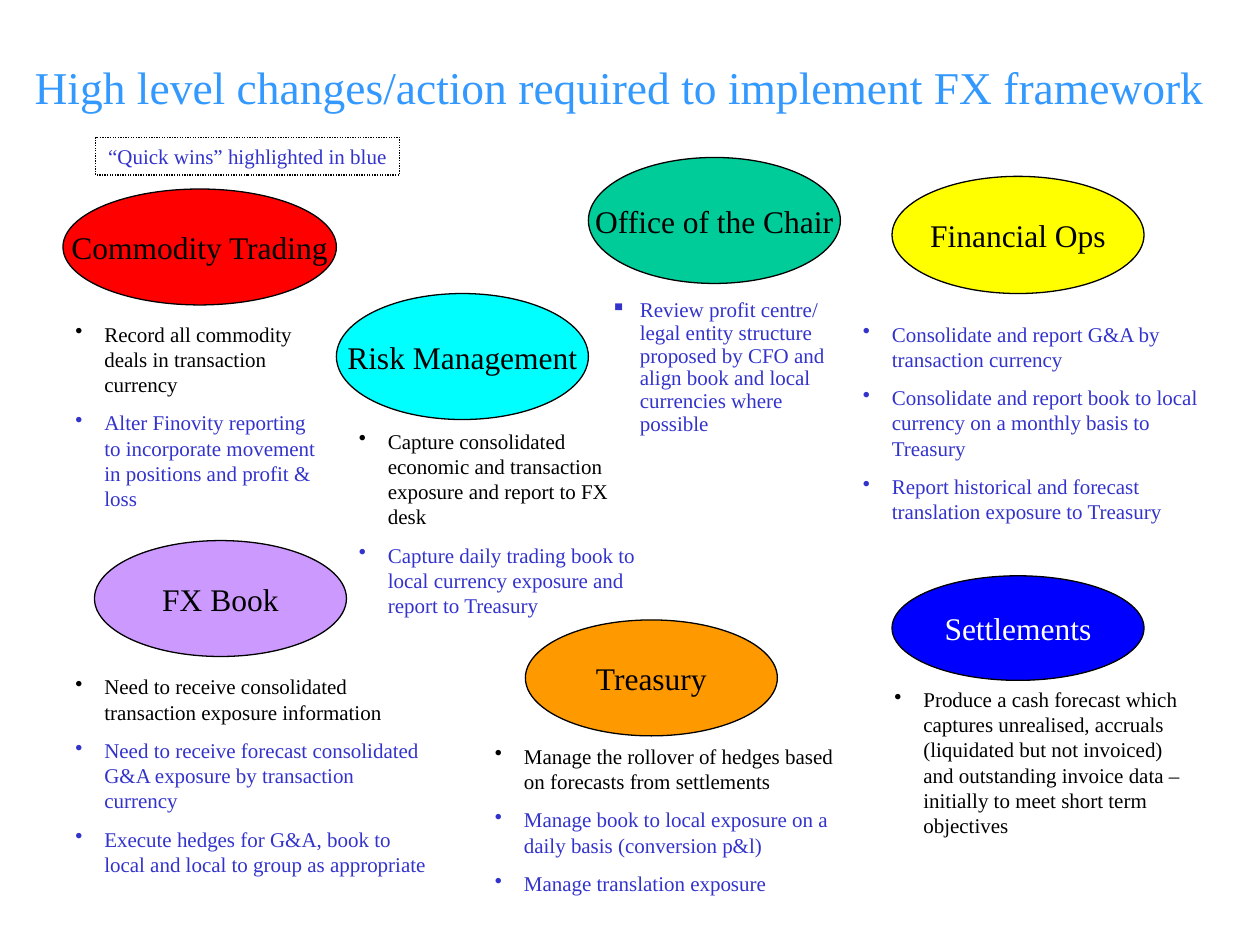
import pptx
import pptx.util
import pptx.dml.color
import pptx.enum.dml
import pptx.enum.shapes
import pptx.enum.text
from lxml import etree

Inches = pptx.util.Inches
Pt = pptx.util.Pt
BLACK, BLUE, WHITE = "000000", "3333CC", "FFFFFF"
LEFT = pptx.enum.text.PP_ALIGN.LEFT
CENTER = pptx.enum.text.PP_ALIGN.CENTER


def rgb(value):
    return pptx.dml.color.RGBColor.from_string(value)


def write(paragraph, text, size=12, color=BLACK, align=LEFT, bullet=None, before=0, spacing=None):
    if bullet:
        properties = paragraph._p.get_or_add_pPr()
        properties.set("marL", str(Inches(0.23)))
        properties.set("indent", str(Inches(-0.23)))
        mark = etree.SubElement(properties, pptx.oxml.ns.qn("a:buChar"))
        mark.set("char", bullet)
    paragraph.alignment = align
    paragraph.space_before = Pt(before)
    if spacing:
        paragraph.line_spacing = spacing
    run = paragraph.add_run()
    run.text = text
    run.font.size = Pt(size)
    run.font.name = "Times New Roman"
    run.font.color.rgb = rgb(color)


deck = pptx.Presentation()
deck.slide_width, deck.slide_height = Inches(10), Inches(7.5)
slide = deck.slides.add_slide(deck.slide_layouts[6])

title = slide.shapes.add_textbox(Inches(-0.33), Inches(0.42), Inches(10.5), Inches(0.54))
title.text_frame.word_wrap = True
write(title.text_frame.paragraphs[0], "High level changes/action required to implement FX framework",
      size=26, color="3399FF", align=CENTER)

departments = [
    ("Office of the Chair", 4.67, 1.25, 2, 1, "00CC99", BLACK),
    ("Financial Ops", 7.08, 1.4, 2, 0.93, "FFFF00", BLACK),
    ("Commodity Trading", 0.5, 1.5, 2.17, 0.92, "FF0000", BLACK),
    ("Settlements", 7.08, 4.57, 2, 0.83, "0000FF", WHITE),
    ("FX Book", 0.75, 4.29, 2, 0.92, "CC99FF", BLACK),
    ("Risk Management", 2.67, 2.33, 2, 1, "00FFFF", BLACK),
    ("Treasury", 4.17, 4.92, 2, 0.92, "FF9900", BLACK),
]
for name, left, top, width, height, fill, color in departments:
    department = slide.shapes.add_shape(
        pptx.enum.shapes.MSO_SHAPE.OVAL, Inches(left), Inches(top), Inches(width), Inches(height))
    department.shadow.inherit = False
    department.fill.solid()
    department.fill.fore_color.rgb = rgb(fill)
    department.line.color.rgb = rgb(BLACK)
    department.line.width = Pt(0.75)
    department.text_frame.word_wrap = False
    department.text_frame.vertical_anchor = pptx.enum.text.MSO_ANCHOR.MIDDLE
    write(department.text_frame.paragraphs[0], name, size=18, color=color, align=CENTER)

action_lists = [
    (6.75, 2.5, 2.92, 1.51, "•", None, [
        ("Consolidate and report G&A by transaction currency", BLUE),
        ("Consolidate and report book to local currency on a monthly basis to Treasury", BLUE),
        ("Report historical and forecast translation exposure to Treasury", BLUE)]),
    (0.5, 2.5, 2.17, 1.21, "•", None, [
        ("Record all commodity deals in transaction currency", BLACK),
        ("Alter Finovity reporting to incorporate movement in positions and profit & loss", BLUE)]),
    (0.5, 5.3, 3, 1.51, "•", None, [
        ("Need to receive consolidated transaction exposure information", BLACK),
        ("Need to receive forecast consolidated G&A exposure by transaction currency", BLUE),
        ("Execute hedges for G&A, book to local and local to group as appropriate", BLUE)]),
    (3.83, 5.85, 3, 1.31, "•", None, [
        ("Manage the rollover of hedges based on forecasts from settlements", BLACK),
        ("Manage book to local exposure on a daily basis (conversion p&l)", BLUE),
        ("Manage translation exposure", BLUE)]),
    (7, 5.4, 2.58, 1.41, "•", None, [
        ("Produce a cash forecast which captures unrealised, accruals (liquidated but not invoiced) "
         "and outstanding invoice data – initially to meet short term objectives", BLACK)]),
    (2.75, 3.35, 2.42, 1.41, "•", None, [
        ("Capture consolidated economic and transaction exposure and report to FX desk", BLACK),
        ("Capture daily trading book to local currency exposure and report to Treasury", BLUE)]),
    (4.75, 2.33, 2, 1, "▪", 0.9, [
        ("Review profit centre/ legal entity structure proposed by CFO and align book and local "
         "currencies where possible", BLUE)]),
]
for left, top, width, height, bullet, spacing, actions in action_lists:
    action_list = slide.shapes.add_textbox(Inches(left), Inches(top), Inches(width), Inches(height))
    action_list.text_frame.word_wrap = True
    for index, (action, color) in enumerate(actions):
        paragraph = action_list.text_frame.add_paragraph() if index else action_list.text_frame.paragraphs[0]
        write(paragraph, action, color=color, bullet=bullet, before=7.5 if index else 0, spacing=spacing)

legend = slide.shapes.add_shape(
    pptx.enum.shapes.MSO_SHAPE.RECTANGLE, Inches(0.76), Inches(1.09), Inches(2.41), Inches(0.3))
legend.shadow.inherit = False
legend.fill.background()
legend.line.color.rgb = rgb(BLACK)
legend.line.width = Pt(0.75)
legend.line.dash_style = pptx.enum.dml.MSO_LINE.ROUND_DOT
legend.text_frame.word_wrap = False
legend.text_frame.vertical_anchor = pptx.enum.text.MSO_ANCHOR.TOP
write(legend.text_frame.paragraphs[0], "“Quick wins” highlighted in blue", color=BLUE)

deck.save("out.pptx")
